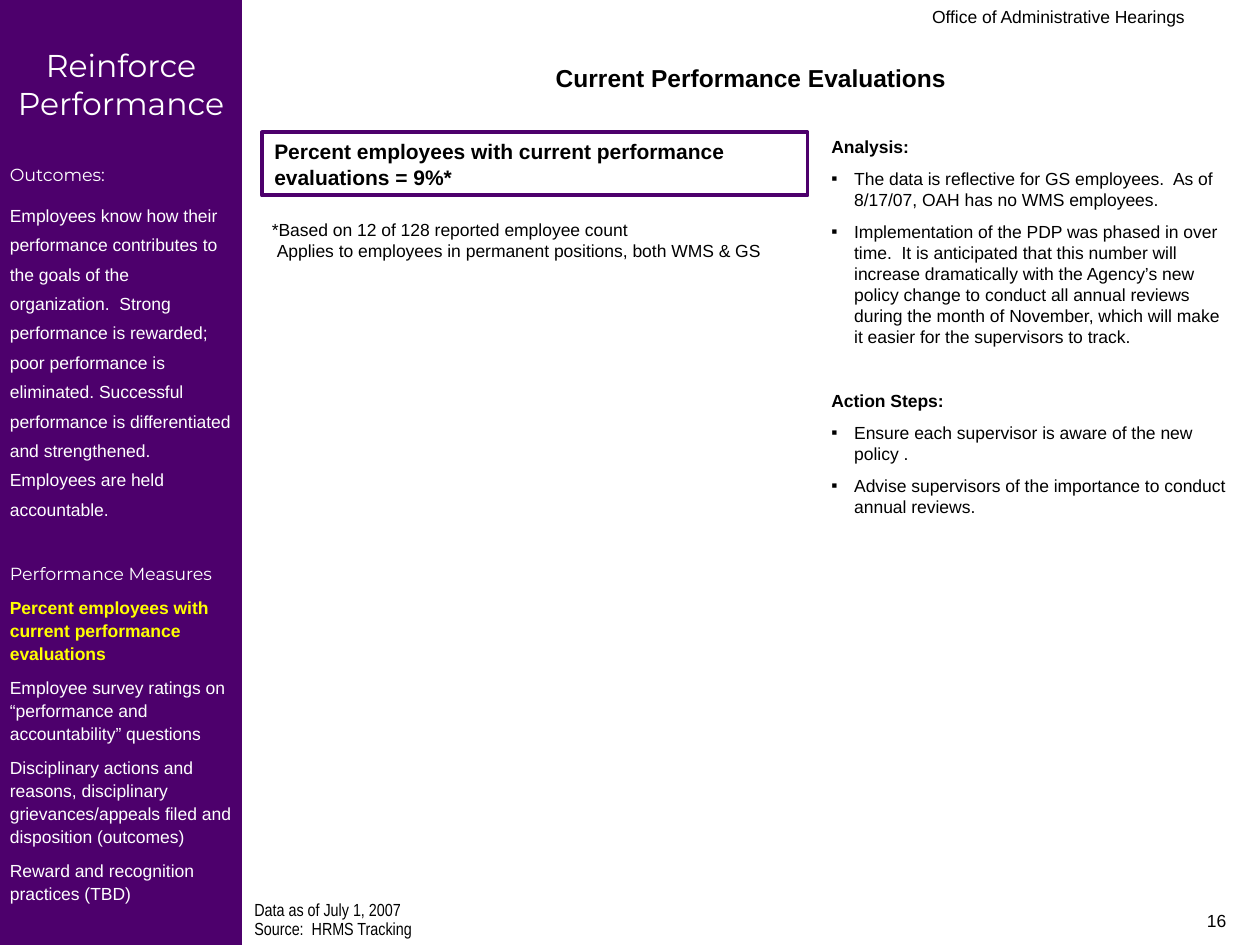
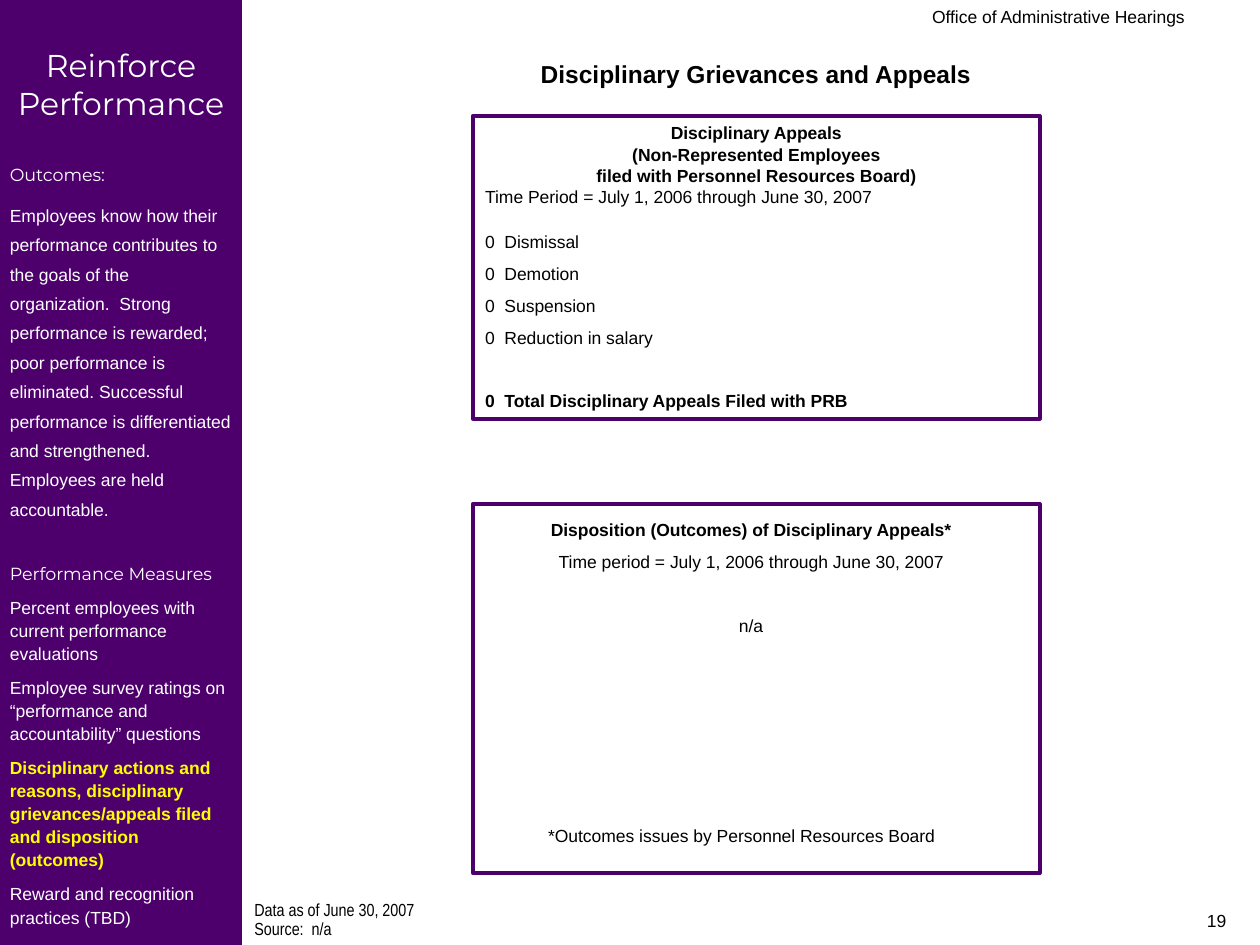
from dataclasses import dataclass

from lxml import etree
from pptx import Presentation
from pptx import util as u
from pptx.dml.color import RGBColor
from pptx.enum import shapes, text
from pptx.oxml.ns import qn

PURPLE, WHITE, BLACK, YELLOW = "4D006C", "FFFFFF", "000000", "FFFF00"
BODY_FONT, HEADING_FONT, FOOTER_FONT = "Arial", "Montserrat", "Arial Narrow"
LEFT, CENTER, RIGHT = text.PP_ALIGN.LEFT, text.PP_ALIGN.CENTER, text.PP_ALIGN.RIGHT
GAP = 6.2
SECTION_GAP = 24.4
SIDEBAR_WIDTH = 4.88

OUTCOMES = (
    "Employees know how their performance contributes to the goals of the "
    "organization.  Strong performance is rewarded; poor performance is "
    "eliminated. Successful performance is differentiated and strengthened. "
    "Employees are held accountable."
)
MEASURES = [
    "Percent employees with current performance evaluations",
    "Employee survey ratings on “performance and accountability” questions",
    "Disciplinary actions and reasons, disciplinary grievances/appeals filed "
    "and disposition (outcomes)",
    "Reward and recognition practices (TBD)",
]


def rgb(color):
    return RGBColor.from_string(color)


@dataclass
class Line:
    """One paragraph: its words and how they are set."""

    words: str
    size: float = 10
    bold: bool = False
    color: str = BLACK
    font: str = BODY_FONT
    align: int = LEFT
    before: float = GAP
    spacing: float = 1.0
    bullet: bool = False
    indent: float = 0


class Deck:
    def __init__(self):
        self.presentation = Presentation()
        self.presentation.slide_width = u.Cm(25.4)
        self.presentation.slide_height = u.Cm(19.05)
        self.slide = None

    def new_slide(self, number, active_measure, footer):
        """Add a slide with the sidebar, header, footer and page number."""
        self.slide = self.presentation.slides.add_slide(self.presentation.slide_layouts[6])
        self.sidebar(active_measure)
        self.textbox((11.43, 0, 12.7, 0.64),
                     [Line("Office of Administrative Hearings", align=RIGHT)])
        self.textbox((SIDEBAR_WIDTH, 18.11, 12.27, 0.94),
                     [Line(words, font=FOOTER_FONT, spacing=0.7, before=2.5)
                      for words in footer])
        self.textbox((19.05, 18.21, 5.92, 0.84), [Line(str(number), align=RIGHT)])

    def sidebar(self, active_measure):
        lines = [
            Line("Reinforce Performance", 18, font=HEADING_FONT, color=WHITE, align=CENTER),
            Line("Outcomes:", font=HEADING_FONT, color=WHITE, before=SECTION_GAP),
            Line(OUTCOMES, color=WHITE, spacing=1.4),
            Line("Performance Measures", font=HEADING_FONT, color=WHITE, before=SECTION_GAP),
        ]
        for index, measure in enumerate(MEASURES):
            active = index == active_measure
            lines.append(Line(measure, bold=active, color=YELLOW if active else WHITE,
                              spacing=1.1))
        self.rectangle((0, 0, SIDEBAR_WIDTH, 19.05), lines, fill=PURPLE,
                       insets=(0.2, 0.93, 0.2, 0.1))

    def title(self, words, top, width):
        self.textbox((5.08, top, width, 0.86),
                     [Line(words, 14, bold=True, align=CENTER)])

    def textbox(self, box, lines):
        shape = self.slide.shapes.add_textbox(*map(u.Cm, box))
        self.set_text(shape, lines)

    def rectangle(self, box, lines=(), fill=None, insets=(0.25, 0.13, 0.25, 0.13)):
        """Add a filled panel, or a purple frame when no fill is given."""
        shape = self.slide.shapes.add_shape(shapes.MSO_SHAPE.RECTANGLE, *map(u.Cm, box))
        shape.shadow.inherit = False
        if fill:
            shape.fill.solid()
            shape.fill.fore_color.rgb = rgb(fill)
            shape.line.fill.background()
        else:
            shape.fill.background()
            shape.line.color.rgb = rgb(PURPLE)
            shape.line.width = u.Pt(2.25)
        if lines:
            self.set_text(shape, lines, insets)

    def set_text(self, shape, lines, insets=(0.25, 0.13, 0.25, 0.13)):
        frame = shape.text_frame
        frame.word_wrap = True
        frame.vertical_anchor = text.MSO_ANCHOR.TOP
        (frame.margin_left, frame.margin_top,
         frame.margin_right, frame.margin_bottom) = map(u.Cm, insets)
        for index, line in enumerate(lines):
            paragraph = frame.add_paragraph() if index else frame.paragraphs[0]
            if line.bullet:
                self.bullet(paragraph)
            elif line.indent:
                paragraph._p.get_or_add_pPr().set("marL", str(u.Cm(line.indent)))
            paragraph.alignment = line.align
            paragraph.line_spacing = line.spacing
            paragraph.space_before = u.Pt(line.before if index else 0)
            run = paragraph.add_run()
            run.text = line.words
            run.font.name = line.font
            run.font.size = u.Pt(line.size)
            run.font.bold = line.bold
            run.font.color.rgb = rgb(line.color)

    def bullet(self, paragraph):
        properties = paragraph._p.get_or_add_pPr()
        properties.set("marL", str(u.Cm(0.46)))
        properties.set("indent", str(-u.Cm(0.46)))
        color = etree.SubElement(properties, qn("a:buClr"))
        etree.SubElement(color, qn("a:srgbClr"), val=BLACK)
        etree.SubElement(properties, qn("a:buFont"), typeface=BODY_FONT)
        etree.SubElement(properties, qn("a:buChar"), char="▪")


def add_evaluations(deck):
    deck.new_slide(16, 0, ["Data as of July 1, 2007", "Source:  HRMS Tracking"])
    deck.title("Current Performance Evaluations", 1.14, 20.12)
    deck.rectangle((5.28, 2.67, 11, 1.27), [
        Line("Percent employees with current performance evaluations = 9%*", 12, bold=True),
    ])
    deck.textbox((5.23, 4.29, 10.54, 1.12), [
        Line("*Based on 12 of 128 reported employee count"),
        Line("Applies to employees in permanent positions, both WMS & GS",
             before=0, indent=0.1),
    ])
    deck.textbox((16.51, 2.62, 8.46, 9.22), [
        Line("Analysis:", bold=True),
        Line("The data is reflective for GS employees.  As of 8/17/07, OAH has no "
             "WMS employees.", bullet=True),
        Line("Implementation of the PDP was phased in over time.  It is anticipated "
             "that this number will increase dramatically with the Agency’s new policy "
             "change to conduct all annual reviews during the month of November, which "
             "will make it easier for the supervisors to track.", bullet=True),
        Line("Action Steps:", bold=True, before=SECTION_GAP),
        Line("Ensure each supervisor is aware of the new policy .", bullet=True),
        Line("Advise supervisors of the importance to conduct annual reviews.", bullet=True),
    ])


def add_appeals(deck):
    deck.new_slide(19, 2, ["Data as of June 30, 2007", "Source:  n/a"])
    deck.title("Disciplinary Grievances and Appeals", 1.07, 20.32)

    heading = ["Disciplinary Appeals", "(Non-Represented Employees",
               "filed with Personnel Resources Board)"]
    actions = ["Dismissal", "Demotion", "Suspension", "Reduction in salary"]
    deck.rectangle((9.53, 2.34, 11.43, 6.1), [
        *[Line(words, bold=True, align=CENTER, before=0) for words in heading],
        Line("Time Period = July 1, 2006 through June 30, 2007", before=0),
        *[Line(f"0  {action}", before=GAP if index else 13.9)
          for index, action in enumerate(actions)],
        Line("0  Total Disciplinary Appeals Filed with PRB", bold=True, before=SECTION_GAP),
    ])

    deck.rectangle((9.53, 10.16, 11.43, 7.44))
    deck.textbox((9.96, 10.34, 10.36, 2.62), [
        Line("Disposition (Outcomes) of Disciplinary Appeals*", bold=True, align=CENTER),
        Line("Time period = July 1, 2006 through June 30, 2007", align=CENTER),
        Line("n/a", align=CENTER, before=SECTION_GAP),
    ])
    deck.textbox((10.8, 16.51, 13.77, 0.69),
                 [Line("*Outcomes issues by Personnel Resources Board")])


def main():
    deck = Deck()
    add_evaluations(deck)
    add_appeals(deck)
    deck.presentation.save("out.pptx")


if __name__ == "__main__":
    main()
